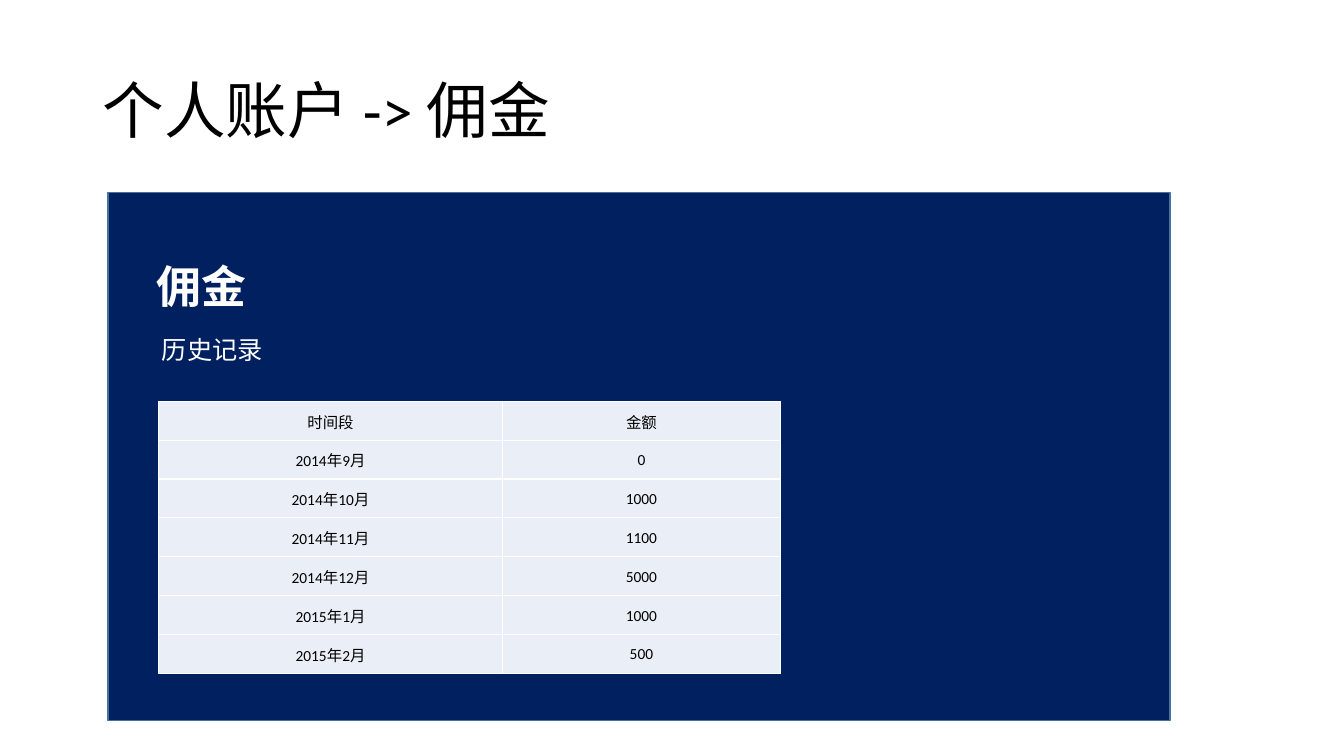
from dataclasses import dataclass

from lxml import etree
from pptx import Presentation
from pptx.dml.color import RGBColor
from pptx.enum.shapes import MSO_SHAPE
from pptx.enum.text import MSO_ANCHOR, PP_ALIGN
from pptx.oxml.ns import qn
from pptx.util import Cm, Pt

RECTANGLE = MSO_SHAPE.RECTANGLE
TOP, MIDDLE = MSO_ANCHOR.TOP, MSO_ANCHOR.MIDDLE
LEFT, CENTER = PP_ALIGN.LEFT, PP_ALIGN.CENTER

FONT = "Calibri"
BLACK, WHITE = "000000", "FFFFFF"
NAVY, PANEL_EDGE, CELL_FILL = "002060", "43739E", "EAEFF7"
TITLE_ONLY = 5
COLUMN_WIDTHS = (8.66, 7.01)
ROW_HEIGHT = 0.98


@dataclass(frozen=True)
class Row:
    period: str
    amount: str


ROWS = [
    Row("时间段", "金额"),
    Row("2014年9月", "0"),
    Row("2014年10月", "1000"),
    Row("2014年11月", "1100"),
    Row("2014年12月", "5000"),
    Row("2015年1月", "1000"),
    Row("2015年2月", "500"),
]


def rgb(value: str) -> RGBColor:
    return RGBColor.from_string(value)


def format_paragraph(paragraph, size: float, color: str, align, bold: bool = False) -> None:
    paragraph.alignment = align
    for run in paragraph.runs:
        run.font.name = FONT
        run.font.size = Pt(size)
        run.font.bold = bold
        run.font.color.rgb = rgb(color)


def add_borders(cell, color: str) -> None:
    """Rule all four sides of a cell; the lines must precede its fill."""
    properties = cell._tc.get_or_add_tcPr()
    for position, side in enumerate(("a:lnL", "a:lnR", "a:lnT", "a:lnB")):
        line = etree.Element(qn(side), w=str(Pt(1)))
        fill = etree.SubElement(line, qn("a:solidFill"))
        etree.SubElement(fill, qn("a:srgbClr"), val=color)
        properties.insert(position, line)


def fill_cell(cell, wording: str) -> None:
    cell.text_frame.text = wording
    format_paragraph(cell.text_frame.paragraphs[0], 11, BLACK, CENTER)
    cell.vertical_anchor = MIDDLE
    cell.margin_left = cell.margin_right = cell.margin_top = Cm(0.03)
    cell.margin_bottom = 0
    cell.fill.solid()
    cell.fill.fore_color.rgb = rgb(CELL_FILL)
    add_borders(cell, WHITE)


def add_title(slide) -> None:
    title = slide.shapes.title
    title.left, title.top = Cm(2.33), Cm(1.01)
    title.width, title.height = Cm(29.21), Cm(3.68)
    title.text_frame.text = "个人账户 -> 佣金"
    title.text_frame.vertical_anchor = MIDDLE
    heading = title.text_frame.paragraphs[0]
    heading.line_spacing = 0.9
    format_paragraph(heading, 44, BLACK, LEFT)


def add_panel(slide) -> None:
    panel = slide.shapes.add_shape(RECTANGLE, Cm(2.72), Cm(4.85), Cm(26.77), Cm(13.31))
    panel.shadow.inherit = False
    panel.fill.solid()
    panel.fill.fore_color.rgb = rgb(NAVY)
    panel.line.color.rgb = rgb(PANEL_EDGE)
    panel.line.width = Pt(1)

    frame = panel.text_frame
    frame.word_wrap = True
    frame.vertical_anchor = TOP
    frame.margin_left, frame.margin_top = Cm(1.22), Cm(1.68)
    frame.text = "佣金"
    commission = frame.paragraphs[0]
    format_paragraph(commission, 32, WHITE, LEFT, bold=True)
    history = frame.add_paragraph()
    history.text = "历史记录"
    history.space_before = Pt(15)
    format_paragraph(history, 18, WHITE, LEFT)
    history._p.get_or_add_pPr().set("marL", str(Cm(0.14)))


def add_history_table(slide) -> None:
    table = slide.shapes.add_table(
        len(ROWS), len(COLUMN_WIDTHS), Cm(4), Cm(10.11),
        Cm(sum(COLUMN_WIDTHS)), Cm(ROW_HEIGHT * len(ROWS)),
    ).table
    table.first_row = table.horz_banding = False
    for column, width in zip(table.columns, COLUMN_WIDTHS):
        column.width = Cm(width)
    for index, row in enumerate(ROWS):
        table.rows[index].height = Cm(ROW_HEIGHT)
        fill_cell(table.cell(index, 0), row.period)
        fill_cell(table.cell(index, 1), row.amount)


def main() -> None:
    deck = Presentation()
    deck.slide_width, deck.slide_height = Cm(33.87), Cm(19.05)
    slide = deck.slides.add_slide(deck.slide_layouts[TITLE_ONLY])
    add_title(slide)
    add_panel(slide)
    add_history_table(slide)
    deck.save("out.pptx")


if __name__ == "__main__":
    main()
